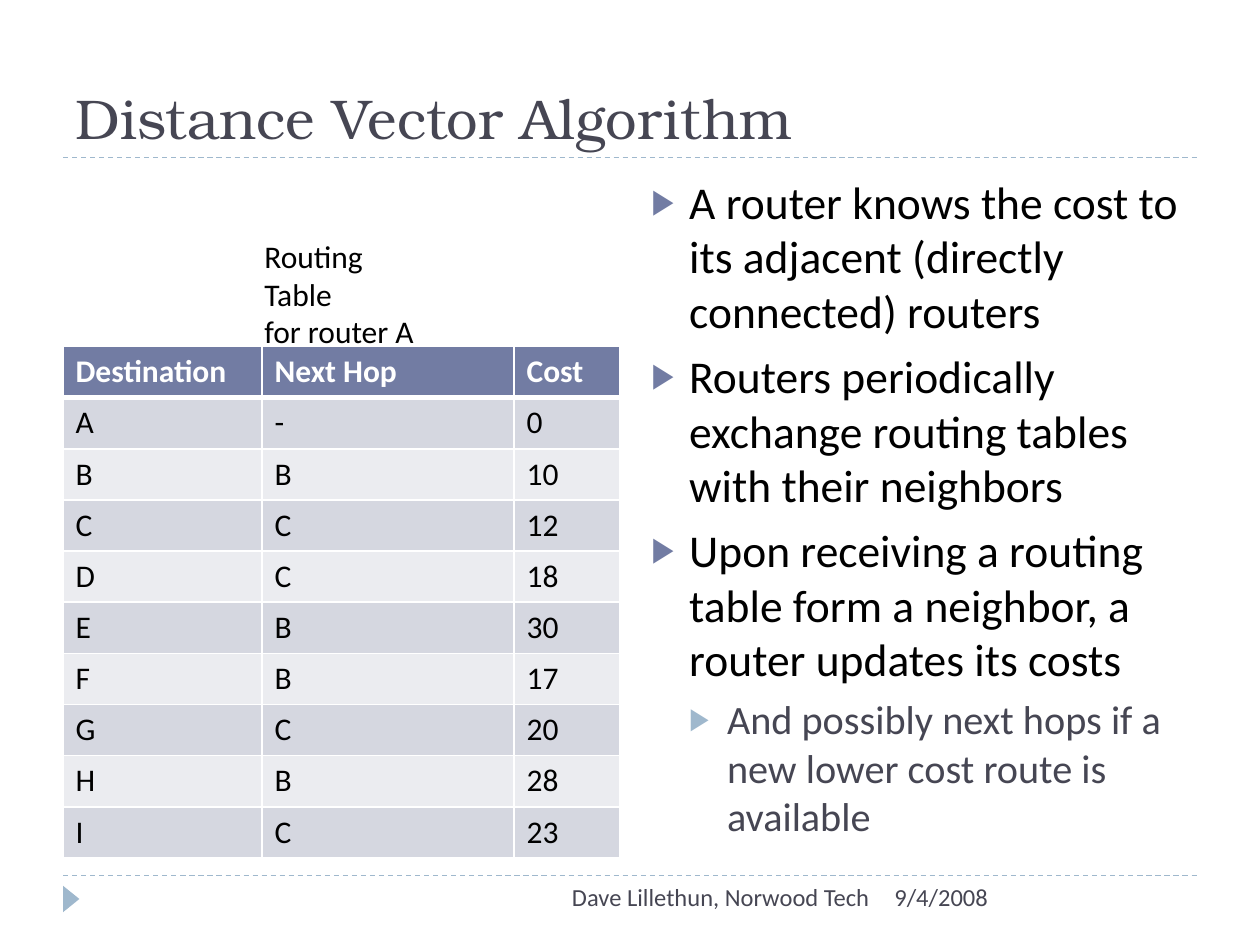
from pptx import Presentation
from pptx.dml.color import RGBColor
from pptx.enum.dml import MSO_LINE
from pptx.enum.shapes import MSO_CONNECTOR, MSO_SHAPE
from pptx.enum.text import MSO_ANCHOR as Anchor, MSO_AUTO_SIZE as AutoSize, PP_ALIGN as Align
from pptx.oxml.ns import qn
from pptx.util import Pt
from lxml.etree import SubElement

WHITE = RGBColor(0xFF, 0xFF, 0xFF)
BLACK = RGBColor(0, 0, 0)
SLATE = RGBColor(0x46, 0x46, 0x53)
INDIGO = RGBColor(0x72, 0x7C, 0xA3)
SKY = RGBColor(0x9F, 0xB8, 0xCD)
BAND_DARK = RGBColor(0xD5, 0xD7, 0xE0)
BAND_LIGHT = RGBColor(0xEB, 0xEC, 0xF0)

HEADINGS = ("Destination", "Next Hop", "Cost")
ROUTES = [
    ("A", "-", "0"), ("B", "B", "10"), ("C", "C", "12"),
    ("D", "C", "18"), ("E", "B", "30"), ("F", "B", "17"),
    ("G", "C", "20"), ("H", "B", "28"), ("I", "C", "23"),
]
COLUMN_WIDTHS = (113.76, 144, 60.48)
ROW_HEIGHT = 29.23
POINTS = [
    (0, "A router knows the cost to its adjacent (directly connected) routers"),
    (0, "Routers periodically exchange routing tables with their neighbors"),
    (0, "Upon receiving a routing table form a neighbor, a router updates its costs"),
    (1, "And possibly next hops if a new lower cost route is available"),
]
LEVELS = [(26, BLACK, INDIGO, 6), (23, SLATE, SKY, 5)]
INDENT = 21.6


def style_text(paragraph, size, color, font="Calibri", bold=False):
    """Format every run of a paragraph."""
    for run in paragraph.runs:
        run.font.size = Pt(size)
        run.font.name = font
        run.font.bold = bold
        run.font.color.rgb = color


def place(item, left, top, width, height):
    """Move and size a placeholder."""
    item.left, item.top, item.width, item.height = map(Pt, (left, top, width, height))


def add_rule(slide, y):
    """Draw a dashed line across the slide."""
    rule = slide.shapes.add_connector(MSO_CONNECTOR.STRAIGHT, Pt(36), Pt(y), Pt(684), Pt(y))
    rule.line.color.rgb = SKY
    rule.line.width = Pt(0.75)
    rule.line.dash_style = MSO_LINE.DASH
    SubElement(rule._element.spPr, qn("a:effectLst"))


def add_marker(slide):
    """Draw the footer triangle."""
    marker = slide.shapes.add_shape(
        MSO_SHAPE.ISOSCELES_TRIANGLE, Pt(33.12), Pt(509.04), Pt(15.12), Pt(9.36))
    marker.rotation = 90
    marker.shadow.inherit = False
    marker.fill.solid()
    marker.fill.fore_color.rgb = SKY
    marker.line.fill.background()


def add_label(slide, text, box, size, color, align=Align.LEFT):
    """Add a wrapped text box."""
    frame = slide.shapes.add_textbox(*map(Pt, box)).text_frame
    frame.word_wrap = True
    frame.text = text
    for paragraph in frame.paragraphs:
        paragraph.alignment = align
        style_text(paragraph, size, color)


def fill_title(title):
    """Write the slide title."""
    place(title, 36, 18, 648, 72)
    frame = title.text_frame
    frame.text = "Distance Vector Algorithm"
    frame.vertical_anchor = Anchor.BOTTOM
    frame.auto_size = AutoSize.NONE
    frame.paragraphs[0].alignment = Align.LEFT
    style_text(frame.paragraphs[0], 32, SLATE, "TeX Gyre Bonum")


def set_bullet(paragraph, level, color):
    """Give a paragraph a coloured triangle bullet and hanging indent."""
    properties = paragraph._p.get_or_add_pPr()
    properties.set("marL", str(Pt(INDENT * (level + 1))))
    properties.set("indent", str(-Pt(INDENT)))
    bullet_color = SubElement(properties, qn("a:buClr"))
    SubElement(bullet_color, qn("a:srgbClr"), val=str(color))
    SubElement(properties, qn("a:buSzPct"), val="76000")
    SubElement(properties, qn("a:buChar"), char="▶")


def fill_body(body):
    """Write the bulleted list."""
    place(body, 365.04, 95.76, 318.24, 388.8)
    frame = body.text_frame
    frame.text = "\n".join(text for _, text in POINTS)
    frame.auto_size = AutoSize.NONE
    for paragraph, (level, _) in zip(frame.paragraphs, POINTS):
        size, color, bullet_color, gap = LEVELS[level]
        paragraph.level = level
        paragraph.space_before = Pt(gap)
        set_bullet(paragraph, level, bullet_color)
        style_text(paragraph, size, color)


def set_borders(cell, bottom):
    """Outline a cell in white."""
    properties = cell._tc.get_or_add_tcPr()
    for side, width in (("L", 1), ("R", 1), ("T", 1), ("B", bottom)):
        border = SubElement(properties, qn(f"a:ln{side}"), w=str(Pt(width)))
        fill = SubElement(border, qn("a:solidFill"))
        SubElement(fill, qn("a:srgbClr"), val=str(WHITE))


def add_routing_table(slide):
    """Add the routing table with banded rows."""
    rows = [HEADINGS, *ROUTES]
    table = slide.shapes.add_table(
        len(rows), len(HEADINGS), Pt(36), Pt(198),
        Pt(sum(COLUMN_WIDTHS)), Pt(ROW_HEIGHT * len(rows))).table
    for column, width in zip(table.columns, COLUMN_WIDTHS):
        column.width = Pt(width)
    for r, values in enumerate(rows):
        table.rows[r].height = Pt(ROW_HEIGHT)
        heading = r == 0
        band = INDIGO if heading else BAND_DARK if r % 2 else BAND_LIGHT
        for c, value in enumerate(values):
            cell = table.cell(r, c)
            cell.text_frame.text = value
            style_text(cell.text_frame.paragraphs[0], 18, WHITE if heading else BLACK, bold=heading)
            set_borders(cell, 3 if heading else 1)
            cell.fill.solid()
            cell.fill.fore_color.rgb = band


def main():
    """Build and save the slide."""
    deck = Presentation()
    deck.slide_width, deck.slide_height = Pt(720), Pt(540)
    slide = deck.slides.add_slide(deck.slide_layouts[1])
    for y in (500.4, 90):
        add_rule(slide, y)
    add_marker(slide)
    fill_title(slide.shapes.title)
    add_label(slide, "9/4/2008", (504, 500.4, 180, 28.8), 14, SLATE)
    add_label(slide, "Dave Lillethun, Norwood Tech", (228.24, 500.4, 275.76, 28.8),
              14, SLATE, Align.RIGHT)
    add_routing_table(slide)
    fill_body(slide.placeholders[1])
    add_label(slide, "Routing Table\nfor router A", (144, 131.76, 112.32, 51.12), 18, BLACK)
    deck.save("out.pptx")


if __name__ == "__main__":
    main()
